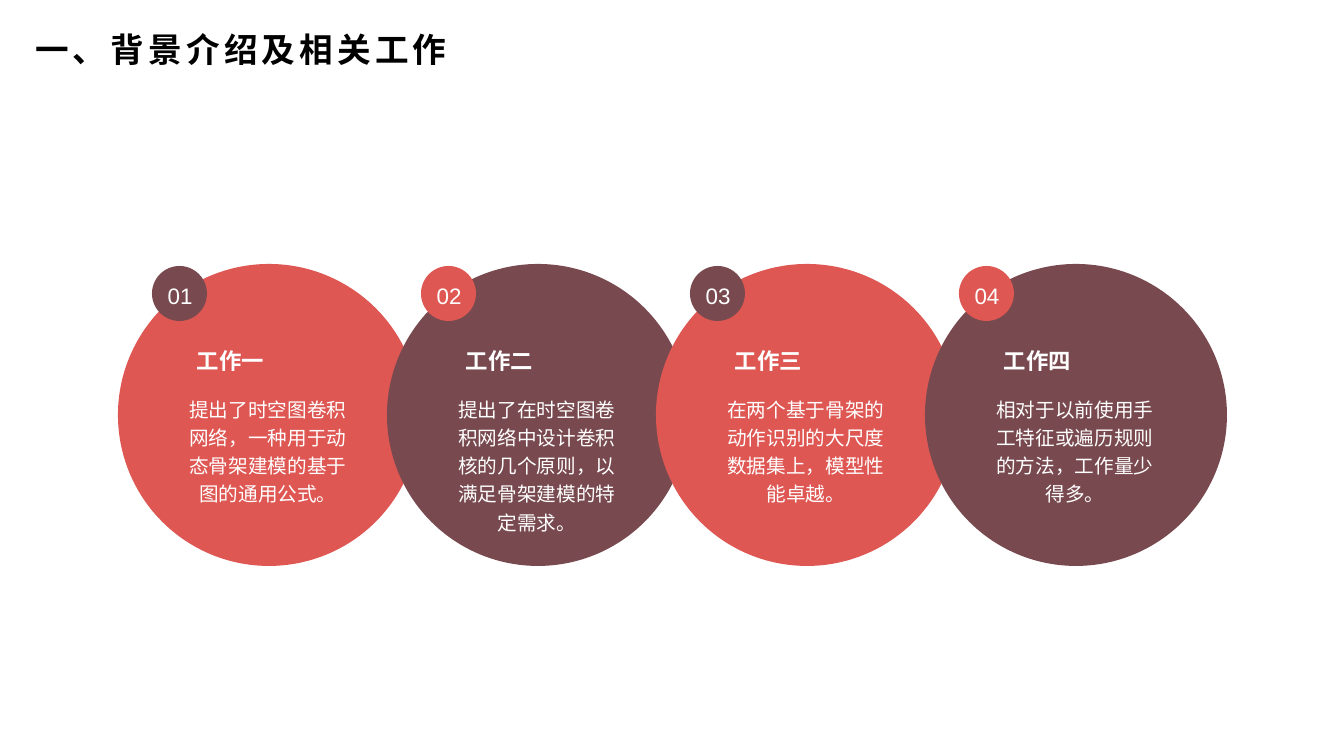
from dataclasses import dataclass
from typing import Any

from pptx import Presentation
from pptx.dml.color import RGBColor
from pptx.enum.shapes import MSO_SHAPE
from pptx.enum.text import MSO_ANCHOR, MSO_AUTO_SIZE, PP_ALIGN
from pptx.oxml.ns import qn
from pptx.util import Emu, Pt

ELLIPSE = MSO_SHAPE.OVAL
LEFT, CENTER = PP_ALIGN.LEFT, PP_ALIGN.CENTER
TOP = MSO_ANCHOR.TOP
GROW = MSO_AUTO_SIZE.SHAPE_TO_FIT_TEXT

PX_PER_INCH = 100.8
TITLE_ONLY = 5
FIRST_LEFT, PITCH = 118, 269
BODY_LINE = 28


@dataclass(frozen=True)
class Theme:
    coral: RGBColor = RGBColor(0xDE, 0x57, 0x53)
    maroon: RGBColor = RGBColor(0x78, 0x4A, 0x4F)
    white: RGBColor = RGBColor(0xFF, 0xFF, 0xFF)
    black: RGBColor = RGBColor(0, 0, 0)
    font: str = "Arial"
    title_size: Pt = Pt(24)
    heading_size: Pt = Pt(16)
    body_size: Pt = Pt(14)
    title_tracking: str = "300"


@dataclass(frozen=True)
class Box:
    left: int
    top: int
    width: int
    height: int

    def shifted(self, distance: int) -> "Box":
        return Box(self.left + distance, self.top, self.width, self.height)

    def emu(self) -> list[Emu]:
        return [px(n) for n in (self.left, self.top, self.width, self.height)]


@dataclass(frozen=True)
class Work:
    heading: str
    body: str
    body_lines: int = 4


THEME = Theme()
TITLE = Box(25, 24, 451, 50)
CIRCLE = Box(0, 264, 302, 302)
BADGE = Box(34, 266, 55, 55)
NUMBER = Box(34, 277, 56, 37)
HEADING = Box(69, 342, 156, 37)
BODY_LEFT, BODY_TOP, BODY_WIDTH = 69, 393, 162

WORKS = [
    Work("工作一", "提出了时空图卷积网络，一种用于动态骨架建模的基于图的通用公式。"),
    Work("工作二", "提出了在时空图卷积网络中设计卷积核的几个原则，以满足骨架建模的特定需求。", 5),
    Work("工作三", "在两个基于骨架的动作识别的大尺度数据集上，模型性能卓越。"),
    Work("工作四", "相对于以前使用手工特征或遍历规则的方法，工作量少得多。"),
]

FRAME_FORMAT = {"word_wrap": True, "auto_size": GROW, "vertical_anchor": TOP}
NO_MARGINS = dict.fromkeys(
    ("margin_left", "margin_top", "margin_right", "margin_bottom"), 0
)
TITLE_FONT = {"size": THEME.title_size, "bold": True}
NUMBER_FONT = {"size": THEME.heading_size}
HEADING_FONT = {"size": THEME.heading_size, "bold": True}
BODY_FONT = {"size": THEME.body_size}
BODY_PARAGRAPH = {"alignment": CENTER, "line_spacing": 1.2}


def px(length: int) -> Emu:
    return Emu(round(length * 914400 / PX_PER_INCH))


def apply(target: Any, values: dict[str, Any]) -> None:
    for name, value in values.items():
        setattr(target, name, value)


def write(
    holder: Any,
    words: str,
    font: dict[str, Any],
    paragraph_format: dict[str, Any],
    color: RGBColor = THEME.white,
    margins: dict[str, int] | None = None,
) -> None:
    frame = holder.text_frame
    apply(frame, FRAME_FORMAT | (margins or {}))
    paragraph = frame.paragraphs[0]
    apply(paragraph, paragraph_format)
    run = paragraph.add_run()
    run.text = words
    apply(run.font, {"name": THEME.font} | font)
    run.font.color.rgb = color


def add_disc(slide: Any, box: Box, color: RGBColor) -> None:
    disc = slide.shapes.add_shape(ELLIPSE, *box.emu())
    disc.shadow.inherit = False
    disc.fill.solid()
    disc.fill.fore_color.rgb = color
    disc.line.fill.background()


def add_title(slide: Any) -> None:
    title = slide.shapes.title
    apply(title, dict(zip(("left", "top", "width", "height"), TITLE.emu())))
    write(title, "一、背景介绍及相关工作", TITLE_FONT, {"alignment": LEFT}, THEME.black)
    for properties in title.element.iter(qn("a:rPr")):
        properties.set("spc", THEME.title_tracking)


def add_numbered_circle(slide: Any, index: int) -> None:
    shift = FIRST_LEFT + index * PITCH
    colors = (THEME.coral, THEME.maroon)
    add_disc(slide, CIRCLE.shifted(shift), colors[index % 2])
    add_disc(slide, BADGE.shifted(shift), colors[(index + 1) % 2])
    number = slide.shapes.add_textbox(*NUMBER.shifted(shift).emu())
    write(number, f"{index + 1:02d}", NUMBER_FONT, {"alignment": CENTER})


def add_work(slide: Any, index: int, work: Work) -> None:
    shift = FIRST_LEFT + index * PITCH
    heading = slide.shapes.add_textbox(*HEADING.shifted(shift).emu())
    write(heading, work.heading, HEADING_FONT, {"alignment": LEFT})
    body_box = Box(BODY_LEFT, BODY_TOP, BODY_WIDTH, work.body_lines * BODY_LINE)
    body = slide.shapes.add_textbox(*body_box.shifted(shift).emu())
    write(body, work.body, BODY_FONT, BODY_PARAGRAPH, margins=NO_MARGINS)


def main() -> None:
    deck = Presentation()
    deck.slide_width, deck.slide_height = px(1344), px(756)
    slide = deck.slides.add_slide(deck.slide_layouts[TITLE_ONLY])
    add_title(slide)
    for index in range(len(WORKS)):
        add_numbered_circle(slide, index)
    for index, work in enumerate(WORKS):
        add_work(slide, index, work)
    deck.save("out.pptx")


if __name__ == "__main__":
    main()
